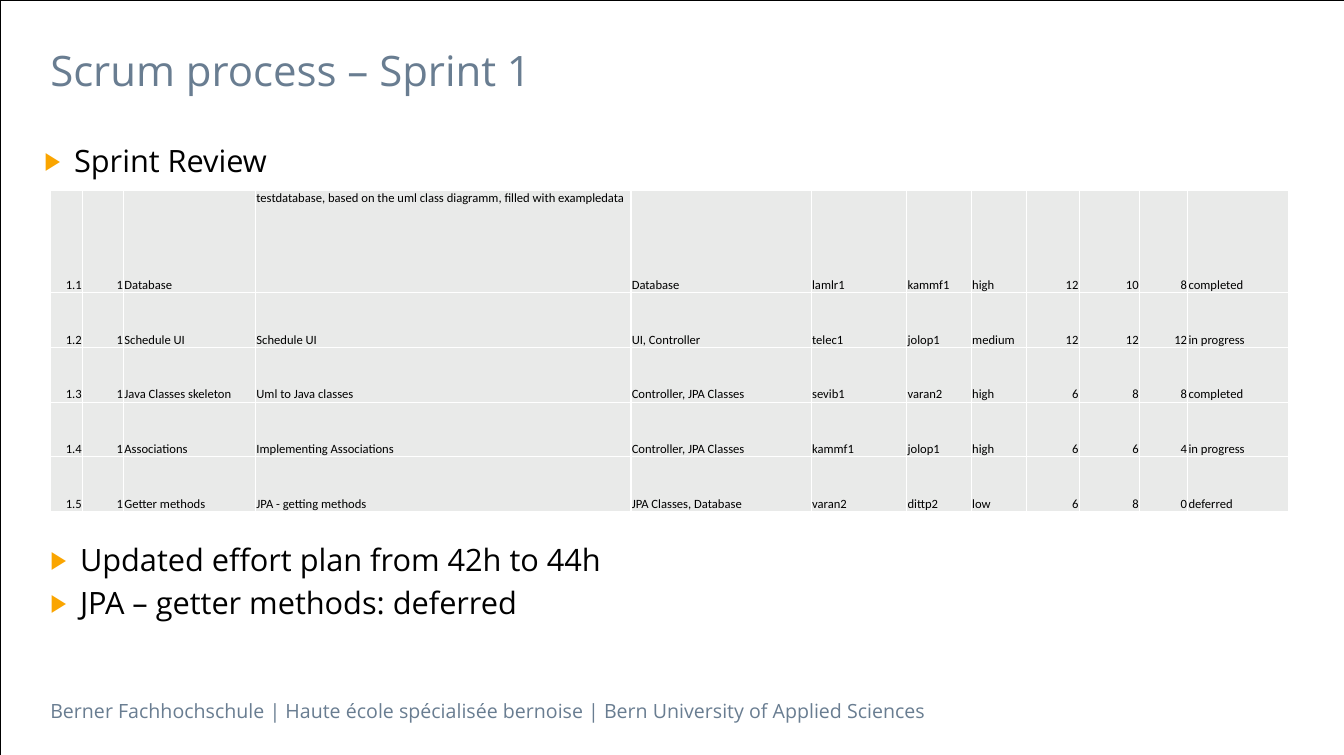
from lxml.etree import SubElement
from pptx import Presentation
from pptx.dml.color import RGBColor
from pptx.enum.shapes import MSO_SHAPE as Shape
from pptx.enum.text import MSO_ANCHOR as Anchor, PP_ALIGN as Align
from pptx.oxml.ns import qn
from pptx.util import Cm, Pt

# Content
TITLE = "Scrum process – Sprint 1"
REVIEW = ["Sprint Review"]
OUTCOMES = ["Updated effort plan from 42h to 44h", "JPA – getter methods: deferred"]
FOOTER = ("Berner Fachhochschule | Haute école spécialisée bernoise | "
          "Bern University of Applied Sciences")
TASKS = [
    (1.1, 1, "Database",
     "testdatabase, based on the uml class diagramm, filled with exampledata",
     "Database", "lamlr1", "kammf1", "high", 12, 10, 8, "completed"),
    (1.2, 1, "Schedule UI", "Schedule UI", "UI, Controller",
     "telec1", "jolop1", "medium", 12, 12, 12, "in progress"),
    (1.3, 1, "Java Classes skeleton", "Uml to Java classes", "Controller, JPA Classes",
     "sevib1", "varan2", "high", 6, 8, 8, "completed"),
    (1.4, 1, "Associations", "Implementing Associations", "Controller, JPA Classes",
     "kammf1", "jolop1", "high", 6, 6, 4, "in progress"),
    (1.5, 1, "Getter methods", "JPA - getting methods", "JPA Classes, Database",
     "varan2", "dittp2", "low", 6, 8, 0, "deferred"),
]

# Layout in centimetres
WIDTH, HEIGHT = 33.91, 19.05
LEFT, CONTENT_WIDTH = 1.27, 31.24
COLUMNS = [0.81, 1.04, 3.33, 9.47, 4.55, 2.41, 1.63, 1.4, 1.32, 1.52, 1.22, 2.54]
ROWS = [2.59] + [1.38] * 4
COLORS = {"slate": "697D91", "text": "000000", "bullet": "FAA500",
          "cell": "E9EAE9", "border": "FFFFFF"}


def rgb(name):
    return RGBColor.from_string(COLORS[name])


def write(paragraph, text, size, color="text", font="Open Sans", align=Align.LEFT, bullet=False):
    run = paragraph.add_run()
    run.text = text
    run.font.size, run.font.name = Pt(size), font
    run.font.color.rgb = rgb(color)
    paragraph.alignment = align
    if bullet:
        paragraph.space_before = Pt(size * 0.2)
        props = paragraph._p.get_or_add_pPr()
        props.set("marL", str(Cm(0.75)))
        props.set("indent", str(-Cm(0.75)))
        tint = SubElement(props, qn("a:buClr"))
        SubElement(tint, qn("a:srgbClr"), val=COLORS["bullet"])
        SubElement(props, qn("a:buSzPct"), val="80000")
        SubElement(props, qn("a:buFont"), typeface="Open Sans")
        SubElement(props, qn("a:buChar"), char="▶")


def add_text(lines, left, top, width, height, size, **style):
    frame = slide.shapes.add_textbox(Cm(left), Cm(top), Cm(width), Cm(height)).text_frame
    frame.word_wrap = True
    frame.margin_left = frame.margin_right = 0
    frame.margin_top = frame.margin_bottom = Cm(0.13)
    for i, line in enumerate(lines):
        paragraph = frame.add_paragraph() if i else frame.paragraphs[0]
        write(paragraph, line, size, **style)


def add_borders(cell):
    props = cell._tc.get_or_add_tcPr()
    for i, side in enumerate(("lnL", "lnR", "lnT", "lnB")):
        line = props.makeelement(qn(f"a:{side}"), {"w": str(Pt(1))})
        fill = SubElement(line, qn("a:solidFill"))
        SubElement(fill, qn("a:srgbClr"), val=COLORS["border"])
        props.insert(i, line)


prs = Presentation()
prs.slide_width, prs.slide_height = Cm(WIDTH), Cm(HEIGHT)
slide = prs.slides.add_slide(prs.slide_layouts[6])

# Slide outline
outline = slide.shapes.add_shape(Shape.RECTANGLE, 0, 0, Cm(WIDTH), Cm(HEIGHT))
outline.shadow.inherit = False
outline.fill.background()
outline.line.color.rgb = rgb("text")
outline.line.width = Pt(0.5)

# Title, bullets and footer
add_text([FOOTER], LEFT, 17.5, 24.82, 0.86, 14, color="slate")
add_text(REVIEW, 1.12, 3.45, CONTENT_WIDTH, 3.53, 22, bullet=True)
add_text([TITLE], LEFT, 0.99, CONTENT_WIDTH, 1.5, 30, color="slate")
add_text(OUTCOMES, LEFT, 13.51, CONTENT_WIDTH, 3.53, 22, bullet=True)

# Sprint table: numbers right, words left, everything at the cell bottom
sprint = slide.shapes.add_table(len(ROWS), len(COLUMNS), Cm(LEFT), Cm(4.8),
                                Cm(CONTENT_WIDTH), Cm(sum(ROWS))).table
sprint.first_row = sprint.horz_banding = False
for column, width in zip(sprint.columns, COLUMNS):
    column.width = Cm(width)
for row, height, task in zip(sprint.rows, ROWS, TASKS):
    row.height = Cm(height)
    for cell, value in zip(row.cells, task):
        cell.margin_left = cell.margin_right = cell.margin_top = Cm(0.02)
        cell.margin_bottom = 0
        cell.vertical_anchor = Anchor.BOTTOM
        cell.fill.solid()
        cell.fill.fore_color.rgb = rgb("cell")
        add_borders(cell)
        write(cell.text_frame.paragraphs[0], str(value), 9, font="Calibri",
              align=Align.LEFT if isinstance(value, str) else Align.RIGHT)
sprint.cell(0, 3).vertical_anchor = Anchor.TOP

prs.save("out.pptx")
